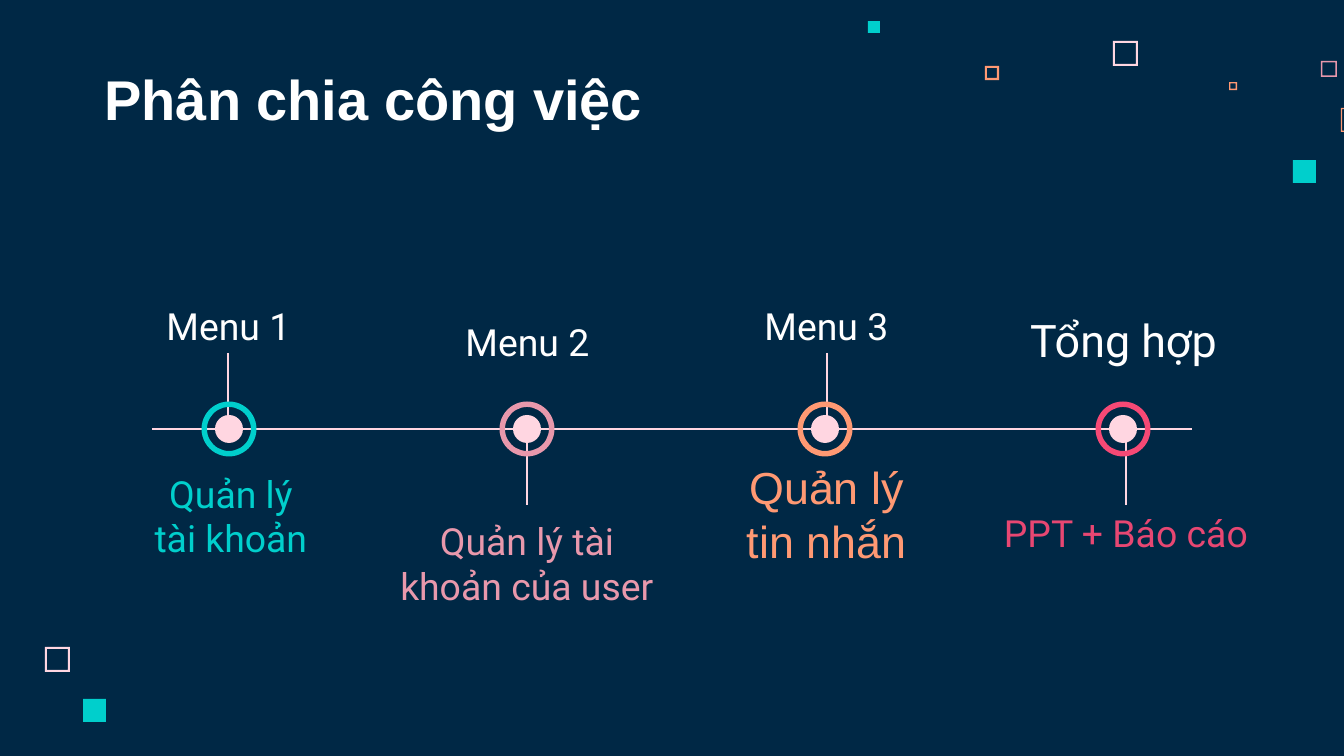
from lxml import etree
from pptx import Presentation
from pptx import util as u
from pptx.dml.color import RGBColor
from pptx.enum import shapes, text
from pptx.oxml.ns import qn

NAVY, WHITE, PINK = "002845", "FFFFFF", "FFD6E1"
TEAL, ROSE, PEACH, RED = "00CFCC", "E898AC", "FF9973", "F64975"
TOP, MID, LOW = (text.MSO_ANCHOR.TOP, text.MSO_ANCHOR.MIDDLE,
                 text.MSO_ANCHOR.BOTTOM)
LEFT, CENTER = text.PP_ALIGN.LEFT, text.PP_ALIGN.CENTER
KIND = shapes.MSO_SHAPE


def px(n):
    return u.Emu(round(n * 914400 / 134.4))


def rgb(code):
    return RGBColor.from_string(code)


class Deck:
    def __init__(self, wide, high):
        self.prs = Presentation()
        self.prs.slide_width, self.prs.slide_height = px(wide), px(high)

    def page(self, color):
        self.slide = self.prs.slides.add_slide(self.prs.slide_layouts[5])
        fill = self.slide.background.fill
        fill.solid()
        fill.fore_color.rgb = rgb(color)

    def shape(self, kind, box, color, adj=None, group=None):
        home = group.shapes if group else self.slide.shapes
        item = home.add_shape(kind, *map(px, box))
        item.shadow.inherit = False
        item.fill.solid()
        item.fill.fore_color.rgb = rgb(color)
        item.line.fill.background()
        if adj:
            item.adjustments[0] = adj

    def disc(self, kind, x, y, size, color, group, adj=None):
        box = (x - size / 2, y - size / 2, size, size)
        self.shape(kind, box, color, adj, group)

    def line(self, x1, y1, x2, y2, color=PINK, width=1.5):
        item = self.slide.shapes.add_connector(
            shapes.MSO_CONNECTOR.STRAIGHT, px(x1), px(y1), px(x2), px(y2))
        item.line.color.rgb = rgb(color)
        item.line.width = u.Pt(width)
        etree.SubElement(item._element.spPr, qn("a:effectLst"))

    def style(self, item, words, size, color, anchor, font, align, bold=False):
        frame = item.text_frame
        frame.text = words
        frame.word_wrap = True
        frame.auto_size = text.MSO_AUTO_SIZE.NONE
        frame.vertical_anchor = anchor
        frame.margin_left = frame.margin_right = u.Inches(0.1)
        frame.margin_top = frame.margin_bottom = u.Inches(0.1)
        for para in frame.paragraphs:
            para.alignment = align
            for run in para.runs:
                run.font.name, run.font.size = font, u.Pt(size)
                run.font.bold, run.font.color.rgb = bold, rgb(color)

    def title(self, words, box):
        item = self.slide.shapes.title
        item.left, item.top, item.width, item.height = map(px, box)
        self.style(item, words, 30, WHITE, LOW, "Arial", LEFT, True)

    def label(self, words, box, color, anchor, size=20, font="Roboto"):
        item = self.slide.shapes.add_textbox(*map(px, box))
        self.style(item, words, size, color, anchor, font, CENTER)


deck = Deck(1344, 756)
deck.page(NAVY)

# Scattered squares: hollow ones carry a border share
squares = [
    (1113, 41, 25, PINK, 0.08), (1321, 61, 16, ROSE, 0.09),
    (1229, 82, 8, PEACH, 0.17), (1341, 108, 24, PEACH, 0.05),
    (985, 66, 14, PEACH, 0.14), (45, 647, 25, PINK, 0.08),
    (1293, 160, 23, TEAL, None), (868, 21, 12, TEAL, None),
    (83, 699, 23, TEAL, None),
]
for x, y, side, color, rim in squares:
    kind = KIND.FRAME if rim else KIND.RECTANGLE
    deck.shape(kind, (x, y, side, side), color, rim)

# Title
deck.title("Phân chia công việc", (91, 60, 695, 85))

# Timeline: stems alternate above and below the axis
AXIS, STEP = 429, 298
for x, up in [(228, True), (527, False), (827, True), (1126, False)]:
    top = 353 if up else 438
    deck.line(x, top, x, top + 67)
deck.line(152, AXIS, 1192, AXIS)

# Stops
for i, color in enumerate([TEAL, ROSE, PEACH, RED]):
    x = 229 + i * STEP
    stop = deck.slide.shapes.add_group_shape()
    deck.disc(KIND.OVAL, x, AXIS, 28, PINK, stop)
    deck.disc(KIND.DONUT, x, AXIS, 55, color, stop, 0.1)

# Headings above the axis
deck.label("Menu 1", (90, 290, 277, 63), WHITE, TOP)
deck.label("Menu 2", (433, 310, 189, 63), WHITE, MID)
deck.label("Menu 3", (688, 290, 277, 63), WHITE, TOP)
deck.label("Tổng hợp", (1012, 308, 223, 63), WHITE, MID, 24)

# Tasks below the axis
deck.label("Quản lý\vtài khoản", (124, 484, 214, 63), TEAL, MID)
deck.label("Quản lý tài khoản của user", (372, 558, 310, 63), ROSE, LOW)
deck.label("Quản lý tin nhắn", (732, 482, 189, 63), PEACH, MID, 24, "Arial")
deck.label("PPT + Báo cáo", (987, 505, 278, 63), "E74772", LOW)

deck.prs.save("out.pptx")
